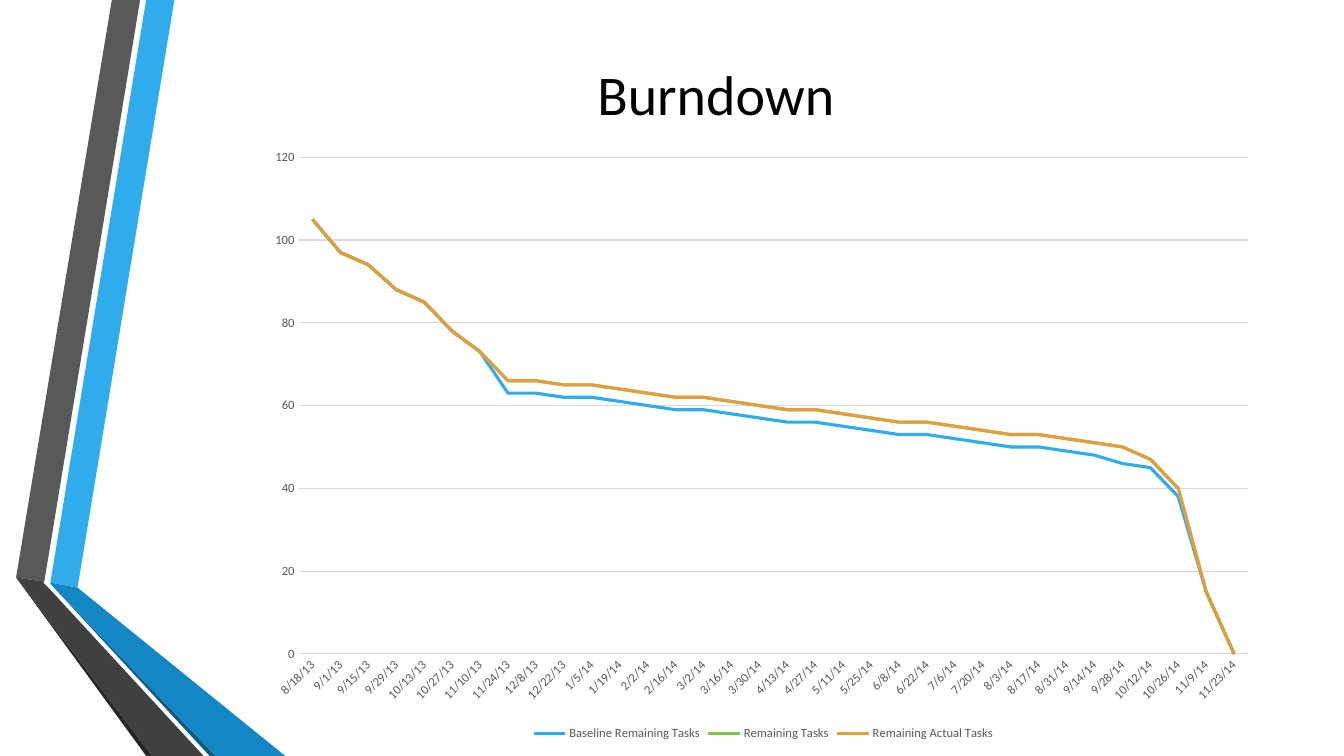
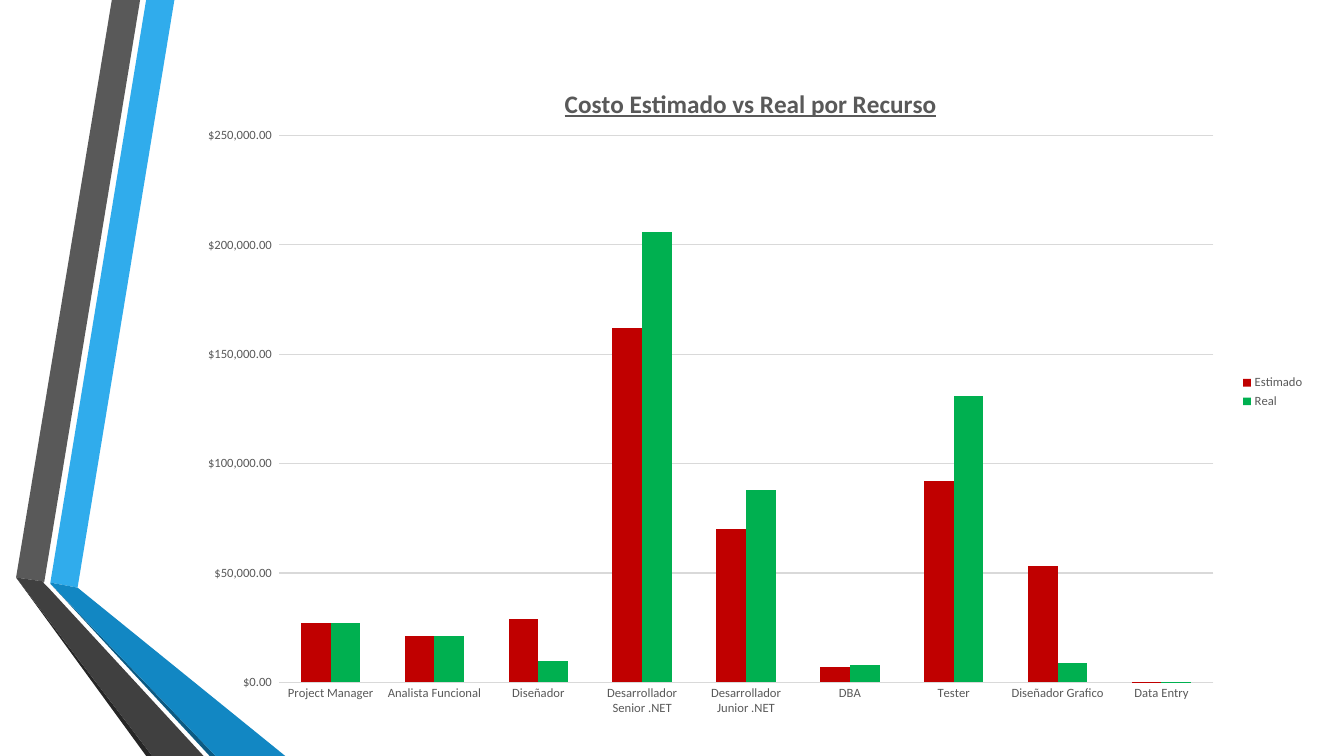
import pptx
import pptx.chart.data
import pptx.dml.color
import pptx.enum.chart
import pptx.enum.text
import pptx.oxml
import pptx.oxml.ns
import pptx.util
from pptx.util import Inches, Pt

FONT = "Calibri"
BLACK, GREY, GRID = "000000", "595959", "D9D9D9"
BLUE, GREEN, ORANGE = "30ACEC", "80C34F", "E29D3E"
COST_RED, COST_GREEN = "C00000", "00B050"

# Outlines of the folded ribbons, in hundredths of an inch
RIBBONS = [
    (BLUE, [(50, 578), (77, 583), (173, 0), (145, 0)]),
    (GREY, [(139, 0), (111, 0), (16, 573), (44, 577)]),
    ("262626", [(16, 573), (145, 750), (151, 750)]),
    ("0C5A82", [(50, 579), (208, 750), (214, 750)]),
    ("1287C3", [(50, 579), (214, 750), (283, 750), (77, 583), (50, 578)]),
    ("404040", [(202, 750), (48, 583), (43, 578), (44, 577), (16, 573), (151, 750)]),
]

DATES = """8/18/13 9/1/13 9/15/13 9/29/13 10/13/13 10/27/13 11/10/13 11/24/13
12/8/13 12/22/13 1/5/14 1/19/14 2/2/14 2/16/14 3/2/14 3/16/14 3/30/14 4/13/14
4/27/14 5/11/14 5/25/14 6/8/14 6/22/14 7/6/14 7/20/14 8/3/14 8/17/14 8/31/14
9/14/14 9/28/14 10/12/14 10/26/14 11/9/14 11/23/14""".split()
START = [105, 97, 94, 88, 85, 78, 73]
BASELINE = START + [63, 63, 62, 62, 61, 60, 59, 59, 58, 57, 56, 56, 55, 54, 53, 53,
                    52, 51, 50, 50, 49, 48, 46, 45, 38, 15, 0]
REMAINING = START + [66, 66, 65, 65, 64, 63, 62, 62, 61, 60, 59, 59, 58, 57, 56, 56,
                     55, 54, 53, 53, 52, 51, 50, 47, 40, 15, 0]
BURNDOWN = [
    ("Baseline Remaining Tasks", BASELINE, BLUE),
    ("Remaining Tasks", REMAINING, GREEN),
    ("Remaining Actual Tasks", REMAINING, ORANGE),
]

RESOURCES = ["Project Manager", "Analista Funcional", "Diseñador",
             "Desarrollador Senior .NET", "Desarrollador Junior .NET", "DBA",
             "Tester", "Diseñador Grafico", "Data Entry"]
COSTS = [
    ("Estimado", [27000, 21000, 29000, 162000, 70000, 7000, 92000, 53000, 400],
     COST_RED),
    ("Real", [27000, 21000, 10000, 206000, 88000, 8000, 131000, 9000, 400],
     COST_GREEN),
]
MONEY = '"$"#,##0.00_);[Red]\\("$"#,##0.00\\)'


def rgb(color):
    return pptx.dml.color.RGBColor.from_string(color)


def set_font(font, size, color):
    font.name = FONT
    font.size = Pt(size)
    font.color.rgb = rgb(color)


def paint(fmt, color):
    fmt.fill.solid()
    fmt.fill.fore_color.rgb = rgb(color)


def add_ribbon(slide, color, points):
    builder = slide.shapes.build_freeform(*points[0], scale=Inches(0.01))
    builder.add_line_segments(points[1:], close=True)
    sp = builder.convert_to_shape()
    sp.shadow.inherit = False
    paint(sp, color)
    sp.line.fill.background()


def add_slide(prs):
    slide = prs.slides.add_slide(prs.slide_layouts[6])
    for color, points in RIBBONS:
        add_ribbon(slide, color, points)
    return slide


def add_title(slide, text):
    sp = slide.shapes.add_textbox(Inches(1.62), Inches(0.1), Inches(10.96), Inches(1.65))
    tf = sp.text_frame
    tf.word_wrap = True
    tf.vertical_anchor = pptx.enum.text.MSO_ANCHOR.MIDDLE
    p = tf.paragraphs[0]
    p.text = text
    p.alignment = pptx.enum.text.PP_ALIGN.CENTER
    set_font(p.font, 40, BLACK)


def place_part(part, index, **fractions):
    """Fix a chart part's place, in fractions of the chart's size."""
    tag = pptx.oxml.ns.qn("c:layout")
    for old in part.findall(tag):
        part.remove(old)
    target = '<c:layoutTarget val="inner"/>' if "w" in fractions else ""
    modes = "".join(f'<c:{k}Mode val="edge"/>' for k in "xy")
    sizes = "".join(f'<c:{k} val="{v}"/>' for k, v in fractions.items())
    part.insert(index, pptx.oxml.parse_xml(
        f'<c:layout {pptx.oxml.ns.nsdecls("c")}><c:manualLayout>'
        f"{target}{modes}{sizes}</c:manualLayout></c:layout>"))


def style_axis(axis):
    none = pptx.enum.chart.XL_TICK_MARK.NONE
    axis.major_tick_mark = axis.minor_tick_mark = none
    axis.format.line.fill.background()
    set_font(axis.tick_labels.font, 9, GREY)


def add_chart(slide, kind, box, categories, series, number_format, top, step, legend, plot):
    data = pptx.chart.data.CategoryChartData()
    data.categories = categories
    for name, values, _ in series:
        data.add_series(name, values)
    chart = slide.shapes.add_chart(kind, *map(Inches, box), data).chart
    set_font(chart.font, 10, BLACK)
    chart.has_title = False
    chart.plots[0].vary_by_categories = False

    style_axis(chart.category_axis)
    axis = chart.value_axis
    style_axis(axis)
    axis.minimum_scale, axis.maximum_scale, axis.major_unit = 0, top, step
    axis.tick_labels.number_format = number_format
    axis.tick_labels.number_format_is_linked = False
    axis.has_major_gridlines = True
    grid = axis.major_gridlines.format.line
    grid.color.rgb = rgb(GRID)
    grid.width = Pt(0.75)

    chart.has_legend = True
    chart.legend.position = legend
    chart.legend.include_in_layout = False
    set_font(chart.legend.font, 9, GREY)
    place_part(chart.plots[0]._element.getparent(), 0, **plot)
    return chart


def add_burndown_chart(slide):
    chart = add_chart(
        slide, pptx.enum.chart.XL_CHART_TYPE.LINE, (2.56, 1.38, 10.02, 6.01),
        DATES, BURNDOWN, "General", 120, 20, pptx.enum.chart.XL_LEGEND_POSITION.BOTTOM,
        dict(x=0.04, y=0.03, w=0.94, h=0.82))
    for line, (_, _, color) in zip(chart.plots[0].series, BURNDOWN):
        line.smooth = False
        line.format.line.color.rgb = rgb(color)
        line.format.line.width = Pt(2.25)
    body = chart.category_axis._element.find(".//" + pptx.oxml.ns.qn("a:bodyPr"))
    body.set("rot", "-2700000")
    body.set("vert", "horz")


def add_cost_chart(slide):
    chart = add_chart(
        slide, pptx.enum.chart.XL_CHART_TYPE.COLUMN_CLUSTERED, (1.87, 0.54, 11.17, 6.7),
        RESOURCES, COSTS, MONEY, 250000, 50000, pptx.enum.chart.XL_LEGEND_POSITION.RIGHT,
        dict(x=0.08, y=0.12, w=0.83, h=0.81))
    chart.plots[0].gap_width = 150
    chart.plots[0].overlap = 0
    for columns, (_, _, color) in zip(chart.plots[0].series, COSTS):
        paint(columns.format, color)

    chart.has_title = True
    title = chart.chart_title
    p = title.text_frame.paragraphs[0]
    p.text = "Costo Estimado vs Real por Recurso"
    set_font(p.font, 18, GREY)
    p.font.bold = p.font.underline = True
    title.include_in_layout = False
    place_part(title._element, 1, x=0.33, y=0.04)


def main():
    prs = pptx.Presentation()
    prs.slide_width, prs.slide_height = Inches(13.33), Inches(7.5)

    slide = add_slide(prs)
    add_title(slide, "Burndown")
    add_burndown_chart(slide)

    add_cost_chart(add_slide(prs))
    prs.save("out.pptx")


if __name__ == "__main__":
    main()
